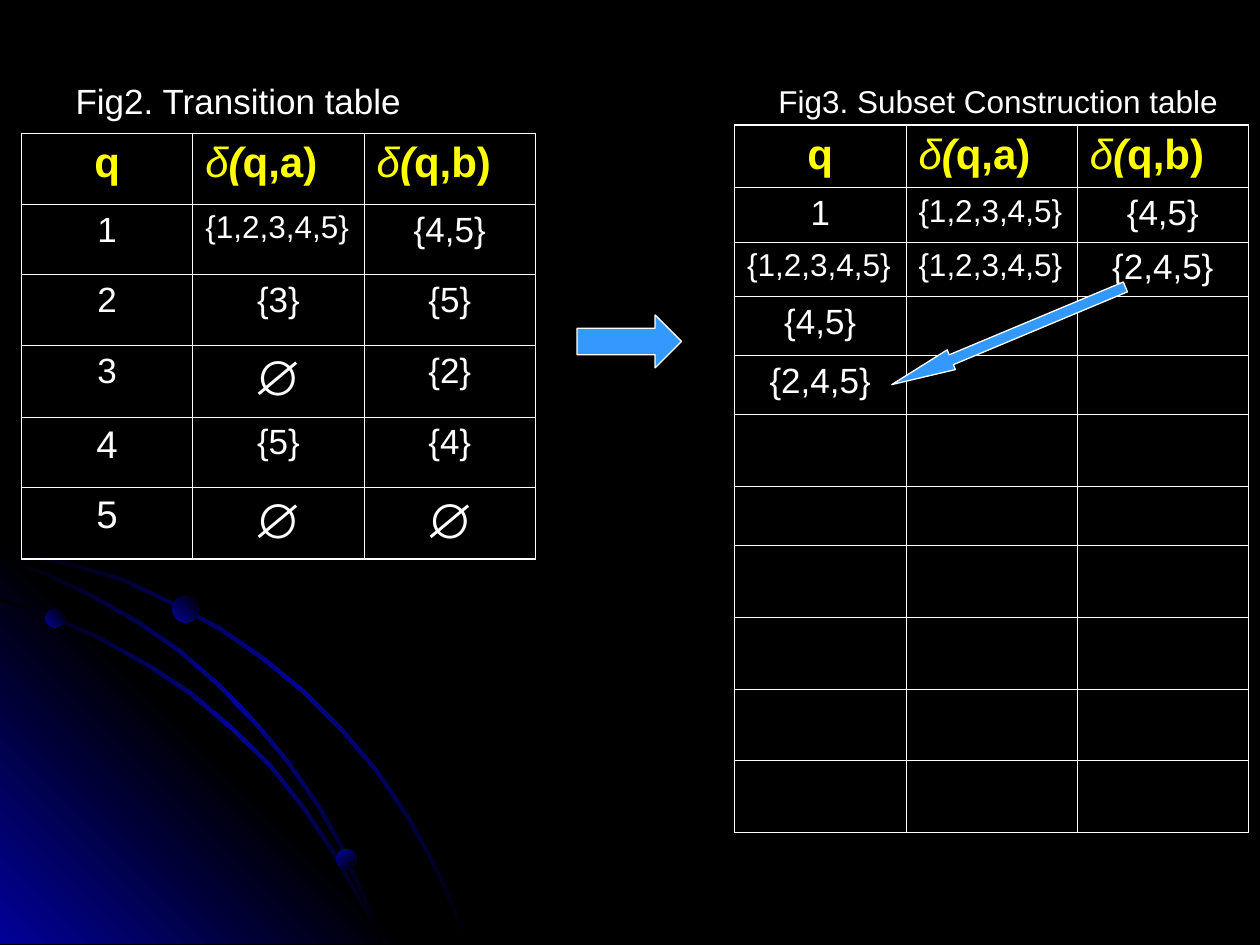
from lxml.etree import SubElement
from pptx import Presentation
from pptx.dml.color import RGBColor
from pptx.enum.shapes import MSO_SHAPE
from pptx.enum.text import MSO_ANCHOR, PP_ALIGN
from pptx.oxml import parse_xml
from pptx.oxml.ns import nsdecls, qn
from pptx.util import Inches, Pt

COLORS = {"black": "000000", "blue": "010199", "arrow": "3399FF",
          "white": "FFFFFF", "yellow": "FFFF00"}
BAND = ["black", "blue", "black"]
BOTTOM = 7.49


def add_span(para, text, size, color="white", **styles):
    span = para.add_run()
    span.text = text
    formats = {"name": "Arial", "size": Pt(size), "bold": False, "italic": False}
    for name, value in (formats | styles).items():
        setattr(span.font, name, value)
    span.font.color.rgb = RGBColor.from_string(COLORS[color])


def paint_gradient(shape, names, angle):
    """Fill with evenly spaced colours, the angle running clockwise in degrees."""
    shape.shadow.inherit = False
    shape.line.fill.background()
    shape.fill.gradient()
    shape.fill.gradient_angle = (360 - angle) % 360
    stops = shape.fill.gradient_stops
    stop_list = shape._element.spPr.find(qn("a:gradFill")).find(qn("a:gsLst"))
    for stop in list(stop_list):
        stop_list.remove(stop)
    for index, name in enumerate(names):
        position = round(100000 * index / (len(names) - 1))
        stop_list.append(parse_xml(
            f'<a:gs {nsdecls("a")} pos="{position}">'
            f'<a:srgbClr val="{COLORS[name]}"/></a:gs>'))


deck = Presentation()
deck.slide_width, deck.slide_height = Inches(10), Inches(7.5)
slide = deck.slides.add_slide(deck.slide_layouts[1])
slide.background.fill.solid()
slide.background.fill.fore_color.rgb = RGBColor.from_string(COLORS["black"])
title = slide.shapes.title._element
title.getparent().remove(title)

# Corner decoration: a glowing triangle, three arcs and three dots
outer_arc = [(0, 4.35), (0.28, 4.41), (0.57, 4.47), (0.98, 4.59), (1.36, 4.77),
             (1.74, 4.97), (2.09, 5.21), (2.42, 5.48), (2.72, 5.78), (3, 6.11),
             (3.25, 6.48), (3.39, 6.73), (3.52, 6.98), (3.62, 7.23), (3.72, BOTTOM)]
inner_arc = [(0, 4.75), (0.41, 4.88), (0.79, 5.05), (1.17, 5.26), (1.52, 5.49),
             (1.84, 5.76), (2.15, 6.06), (2.42, 6.4), (2.66, 6.76), (2.86, 7.12),
             (2.96, 7.3), (3.03, BOTTOM)]
middle_arc = [(0, 4.42), (0.39, 4.55), (0.76, 4.73), (1.11, 4.93), (1.44, 5.16),
              (1.75, 5.43), (2.04, 5.73), (2.29, 6.03), (2.54, 6.39), (2.69, 6.65),
              (2.82, 6.93), (2.94, 7.2), (3.03, BOTTOM)]
triangle = [(3.22, BOTTOM), (0, BOTTOM), (0, 4.27)]


outlines = []
for arc in (outer_arc, inner_arc, middle_arc):
    lower_edge = [(max(x - 0.02, 0), min(y + 0.02, BOTTOM)) for x, y in arc]
    outlines.append((arc + lower_edge[::-1], BAND, 45))
outlines.insert(1, (triangle, ["blue", "black", "blue"], 315))

decoration = slide.shapes.add_group_shape()
for points, names, angle in outlines:
    corners = [(Inches(x), Inches(y)) for x, y in points]
    builder = decoration.shapes.build_freeform(*corners[0])
    builder.add_line_segments(corners[1:], close=True)
    paint_gradient(builder.convert_to_shape(), names, angle)

for left, top, size, angle in [(0.36, 4.83, 0.15, 315), (2.67, 6.74, 0.16, 45),
                               (1.37, 4.73, 0.21, 315)]:
    dot = decoration.shapes.add_shape(MSO_SHAPE.OVAL, Inches(left), Inches(top),
                                      Inches(size), Inches(size))
    paint_gradient(dot, ["blue", "black"], angle)

# Captions
caption = slide.placeholders[1]
caption.left, caption.top = Inches(0.5), Inches(0.58)
caption.width, caption.height = Inches(9), Inches(4.95)
para = caption.text_frame.paragraphs[0]
SubElement(para._p.get_or_add_pPr(), qn("a:buNone"))
para.space_before = Pt(0)
add_span(para, "Fig2. Transition table", 20)

# Tables: a text size other than 20 follows the text
WIDE = ("{1,2,3,4,5}", 18)
EMPTY = ("∅", 28)
transition_rows = [
    ["1", WIDE, "{4,5}"],
    ["2", "{3}", "{5}"],
    ["3", EMPTY, "{2}"],
    [("4", 22), "{5}", "{4}"],
    [("5", 22), EMPTY, EMPTY],
]
subset_rows = [
    ["1", WIDE, "{4,5}"],
    [WIDE, WIDE, "{2,4,5}"],
    ["{4,5}", "", ""],
    ["{2,4,5}", "", ""],
] + [["", "", ""]] * 6
tables = [
    (0.17, 1.06, [0.56, 0.56, 0.56, 0.57, 0.56, 0.57], transition_rows),
    (5.83, 0.99, [0.5, 0.43, 0.43, 0.47, 0.47, 0.57, 0.47] + [0.57] * 4, subset_rows),
]
for left, top, heights, body_rows in tables:
    last_row = len(heights) - 1
    table = slide.shapes.add_table(
        len(heights), 3, Inches(left), Inches(top),
        Inches(4.08), Inches(sum(heights))).table
    table.first_row = table.horz_banding = False
    for column in table.columns:
        column.width = Inches(1.36)
    for row, height in zip(table.rows, heights):
        row.height = Inches(height)

    for row_index, row in enumerate(table.rows):
        for column_index, cell in enumerate(row.cells):
            outside = {"L": column_index == 0, "R": column_index == 2,
                       "T": row_index == 0, "B": row_index == last_row}
            for side, is_outside in outside.items():
                width = Pt(1.08 if is_outside else 0.45)
                cell._tc.get_or_add_tcPr().append(parse_xml(
                    f'<a:ln{side} {nsdecls("a")} w="{width}"><a:solidFill>'
                    f'<a:srgbClr val="{COLORS["white"]}"/></a:solidFill></a:ln{side}>'))
            cell.fill.background()
            cell.vertical_anchor = MSO_ANCHOR.TOP
            para = cell.text_frame.paragraphs[0]
            if row_index == 0:
                if column_index == 0:
                    para.alignment = PP_ALIGN.CENTER
                    add_span(para, "q", 24, "yellow", bold=True)
                else:
                    letter = " ab"[column_index]
                    add_span(para, "δ", 24, "yellow", italic=True)
                    add_span(para, "(", 24, "yellow", bold=True, italic=True)
                    add_span(para, f"q,{letter})", 24, "yellow", bold=True)
                continue
            entry = body_rows[row_index - 1][column_index]
            text, size = entry if isinstance(entry, tuple) else (entry, 20)
            if text:
                para.alignment = PP_ALIGN.LEFT if entry == WIDE else PP_ALIGN.CENTER
                add_span(para, text, size)

# Arrows
arrows = [
    (MSO_SHAPE.DOWN_ARROW, 7.92, 1.66, 0.17, 2.01, 67.3, 3.01),
    (MSO_SHAPE.RIGHT_ARROW, 4.58, 2.5, 0.83, 0.42, 0, 0.5),
]
for kind, left, top, width, height, rotation, head_length in arrows:
    arrow = slide.shapes.add_shape(kind, Inches(left), Inches(top),
                                   Inches(width), Inches(height))
    arrow.rotation = rotation
    arrow.adjustments[0] = 0.5
    arrow.adjustments[1] = head_length
    arrow.shadow.inherit = False
    arrow.fill.solid()
    arrow.fill.fore_color.rgb = RGBColor.from_string(COLORS["arrow"])
    arrow.line.color.rgb = RGBColor.from_string(COLORS["white"])
    arrow.line.width = Pt(0.75)

box = slide.shapes.add_textbox(Inches(6.08), Inches(0.6), Inches(3.69), Inches(0.4))
box.text_frame.word_wrap = False
add_span(box.text_frame.paragraphs[0], "Fig3. Subset Construction table", 18)

deck.save("out.pptx")
